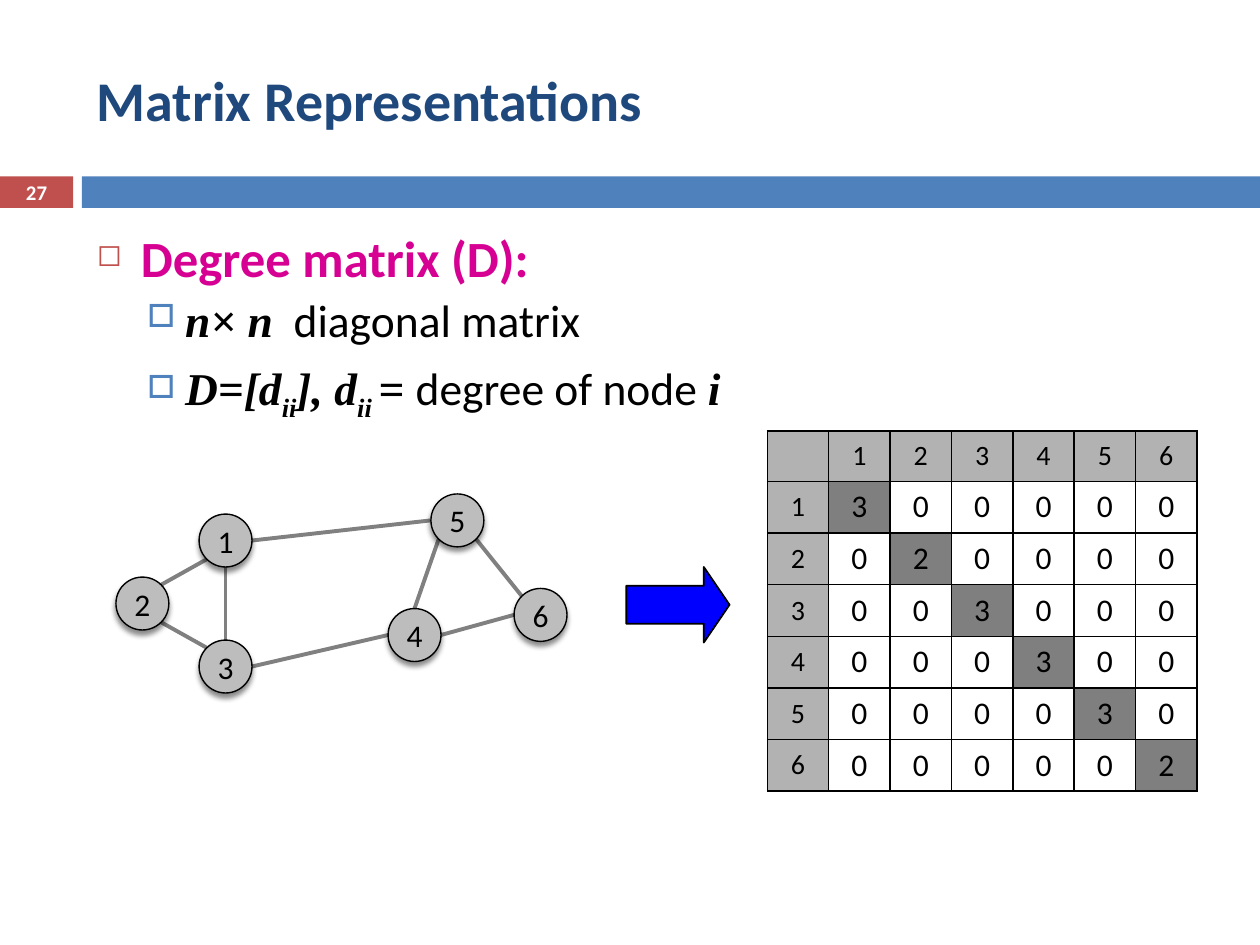
from collections import Counter
from dataclasses import dataclass
from math import cos, radians, sin

from lxml.etree import SubElement
from pptx import Presentation
from pptx.dml.color import RGBColor
from pptx.enum.shapes import MSO_CONNECTOR as Connector, MSO_SHAPE as Shape
from pptx.enum.text import MSO_ANCHOR as Anchor, PP_ALIGN as Align
from pptx.oxml.ns import qn
from pptx.util import Inches, Pt


@dataclass(frozen=True)
class Theme:
    sans: str = "Calibri"
    serif: str = "Times New Roman"
    title: str = "1F497D"
    red: str = "C0504D"
    blue: str = "4F81BD"
    heading: str = "D60093"
    black: str = "000000"
    white: str = "FFFFFF"
    arrow: str = "0000FF"
    edge: str = "808080"
    node: str = "BDBDBD"
    header: str = "B2B2B2"
    title_size: float = 32
    heading_size: float = 29
    body_size: float = 26
    value_size: float = 18
    label_size: float = 16
    number_size: float = 11.9


T = Theme()
NODE_SIZE = 0.42
NODES = {1: (1.58, 4.08), 3: (1.58, 5.08), 2: (0.92, 4.58),
         5: (3.42, 3.92), 4: (3.08, 4.83), 6: (4.08, 4.67)}
RIGHT, LOW_RIGHT, BOTTOM, LOW_LEFT, LEFT, UP_LEFT, TOP, UP_RIGHT = range(0, 360, 45)
EDGES = [(1, LOW_LEFT, 2, UP_RIGHT), (2, LOW_RIGHT, 3, UP_LEFT),
         (1, BOTTOM, 3, TOP), (1, RIGHT, 5, LEFT), (3, RIGHT, 4, LEFT),
         (5, LOW_RIGHT, 6, UP_LEFT), (4, RIGHT, 6, LEFT), (5, LOW_LEFT, 4, TOP)]


def rgb(color):
    return RGBColor.from_string(color)


def add_run(p, text, size=T.body_size, color=T.black, font=T.sans,
            bold=False, italic=False, baseline=0):
    r = p.add_run()
    r.text = text
    f = r.font
    f.size, f.name, f.bold, f.italic = Pt(size), font, bold, italic
    f.color.rgb = rgb(color)
    if baseline:
        r.font._element.set("baseline", str(baseline * 1000))


def add_box(s, left, top, width, height, anchor=Anchor.TOP):
    box = s.shapes.add_textbox(Inches(left), Inches(top), Inches(width), Inches(height))
    tf = box.text_frame
    tf.word_wrap = True
    tf.vertical_anchor = anchor
    return tf


def add_bullet(p, char, color, percent, margin, hang):
    pPr = p._p.get_or_add_pPr()
    pPr.set("marL", str(Inches(margin)))
    pPr.set("indent", str(-Inches(hang)))
    SubElement(SubElement(pPr, qn("a:buClr")), qn("a:srgbClr"), val=color)
    SubElement(pPr, qn("a:buSzPct"), val=str(percent * 1000))
    SubElement(pPr, qn("a:buChar"), char=char)


def add_shape(shapes, kind, left, top, width, height, fill, line=None):
    sp = shapes.add_shape(kind, Inches(left), Inches(top), Inches(width), Inches(height))
    sp.shadow.inherit = False
    sp.fill.solid()
    sp.fill.fore_color.rgb = rgb(fill)
    if line:
        sp.line.color.rgb = rgb(T.black)
        sp.line.width = Pt(line)
    else:
        sp.line.fill.background()
    return sp


def label_shape(sp, text, **fmt):
    tf = sp.text_frame
    tf.margin_left = tf.margin_right = tf.margin_top = tf.margin_bottom = 0
    tf.vertical_anchor = Anchor.MIDDLE
    p = tf.paragraphs[0]
    p.alignment = Align.CENTER
    add_run(p, text, **fmt)


def add_node(shapes, number, left, top):
    sp = add_shape(shapes, Shape.OVAL, left, top, NODE_SIZE, NODE_SIZE, T.node, 0.79)
    effects = sp._element.spPr.find(qn("a:effectLst"))
    shadow = SubElement(effects, qn("a:outerShdw"), blurRad=str(Pt(3)),
                        dist=str(Pt(2.4)), dir="5400000", rotWithShape="0")
    color = SubElement(shadow, qn("a:srgbClr"), val=T.black)
    SubElement(color, qn("a:alpha"), val="45000")
    label_shape(sp, str(number), size=T.value_size)


def rim_point(node, angle):
    left, top = NODES[node]
    radius = NODE_SIZE / 2
    return (Inches(left + radius + radius * cos(radians(angle))),
            Inches(top + radius + radius * sin(radians(angle))))


def add_edge(shapes, start, start_angle, end, end_angle):
    line = shapes.add_connector(Connector.STRAIGHT, *rim_point(start, start_angle),
                                *rim_point(end, end_angle))
    line.line.color.rgb = rgb(T.edge)
    line.line.width = Pt(2.25)
    SubElement(line._element.spPr, qn("a:effectLst"))


def add_graph(s):
    shapes = s.shapes.add_group_shape().shapes
    for edge in EDGES:
        add_edge(shapes, *edge)
    for number, place in NODES.items():
        add_node(shapes, number, *place)


def set_borders(cell):
    tcPr = cell._tc.get_or_add_tcPr()
    for index, side in enumerate(("lnL", "lnR", "lnT", "lnB")):
        ln = tcPr.makeelement(qn(f"a:{side}"), {"w": str(Pt(1))})
        SubElement(SubElement(ln, qn("a:solidFill")), qn("a:srgbClr"), val=T.black)
        tcPr.insert(index, ln)


def fill_cell(cell, text, size, margin, fill=None, alpha=None):
    cell.margin_left = cell.margin_right = Inches(margin)
    cell.vertical_anchor = Anchor.MIDDLE
    if fill:
        cell.fill.solid()
        cell.fill.fore_color.rgb = rgb(fill)
    else:
        cell.fill.background()
    if alpha:
        color = cell._tc.tcPr.find(f".//{qn('a:srgbClr')}")
        SubElement(color, qn("a:alpha"), val=str(alpha * 1000))
    set_borders(cell)
    if text:
        p = cell.text_frame.paragraphs[0]
        p.alignment = Align.CENTER
        add_run(p, text, size=size)


def add_degree_matrix(s):
    degree = Counter(node for a, _, b, _ in EDGES for node in (a, b))
    n = len(NODES) + 1
    table = s.shapes.add_table(n, n, Inches(6.09), Inches(3.42),
                               Inches(3.41), Inches(2.82)).table
    table.first_row = table.horz_banding = False
    for i in range(n):
        table.columns[i].width = Inches(3.41 / n)
        table.rows[i].height = Inches(0.41 if i else 0.39)
        for j in range(n):
            cell = table.cell(i, j)
            if i == 0 or j == 0:
                fill_cell(cell, str(i or j or ""), T.label_size, 0.08, T.header)
            elif i == j:
                fill_cell(cell, str(degree[i]), T.value_size, 0.1, T.black, 50)
            else:
                fill_cell(cell, "0", T.value_size, 0.1)


def add_body(s):
    math = dict(font=T.serif, bold=True, italic=True)
    sub = dict(math, baseline=-25)
    tf = add_box(s, 0.67, 1.75, 8.92, 4.92)
    p = tf.paragraphs[0]
    add_bullet(p, "◻", T.red, 60, 0.35, 0.35)
    add_run(p, "Degree matrix (D):", size=T.heading_size, color=T.heading, bold=True)
    items = [(2.6, [("n× n", math), ("  diagonal matrix", {})]),
             (7.8, [("D=[d", math), ("ii", sub), ("], d", math), ("ii ", sub),
                    ("= ", math), ("degree of node ", {}), ("i", math)])]
    for space, runs in items:
        p = tf.add_paragraph()
        p.level = 1
        p.space_before = Pt(space)
        add_bullet(p, "□", T.blue, 70, 0.7, 0.3)
        for text, fmt in runs:
            add_run(p, text, **fmt)


def main():
    prs = Presentation()
    prs.slide_width, prs.slide_height = Inches(10), Inches(7.5)
    s = prs.slides.add_slide(prs.slide_layouts[6])
    number = add_shape(s.shapes, Shape.RECTANGLE, 0, 1.4, 0.58, 0.25, T.red)
    label_shape(number, "27", size=T.number_size, color=T.white, bold=True)
    add_shape(s.shapes, Shape.RECTANGLE, 0.65, 1.4, 9.35, 0.25, T.blue)
    title = add_box(s, 0.67, 0.25, 8.92, 1.08, Anchor.MIDDLE)
    add_run(title.paragraphs[0], "Matrix Representations",
            size=T.title_size, color=T.title, bold=True)
    add_body(s)
    arrow = add_shape(s.shapes, Shape.RIGHT_ARROW, 4.97, 4.5, 0.82, 0.6, T.arrow, 1)
    arrow.adjustments[1] = 0.34
    add_graph(s)
    add_degree_matrix(s)
    prs.save("out.pptx")


if __name__ == "__main__":
    main()
